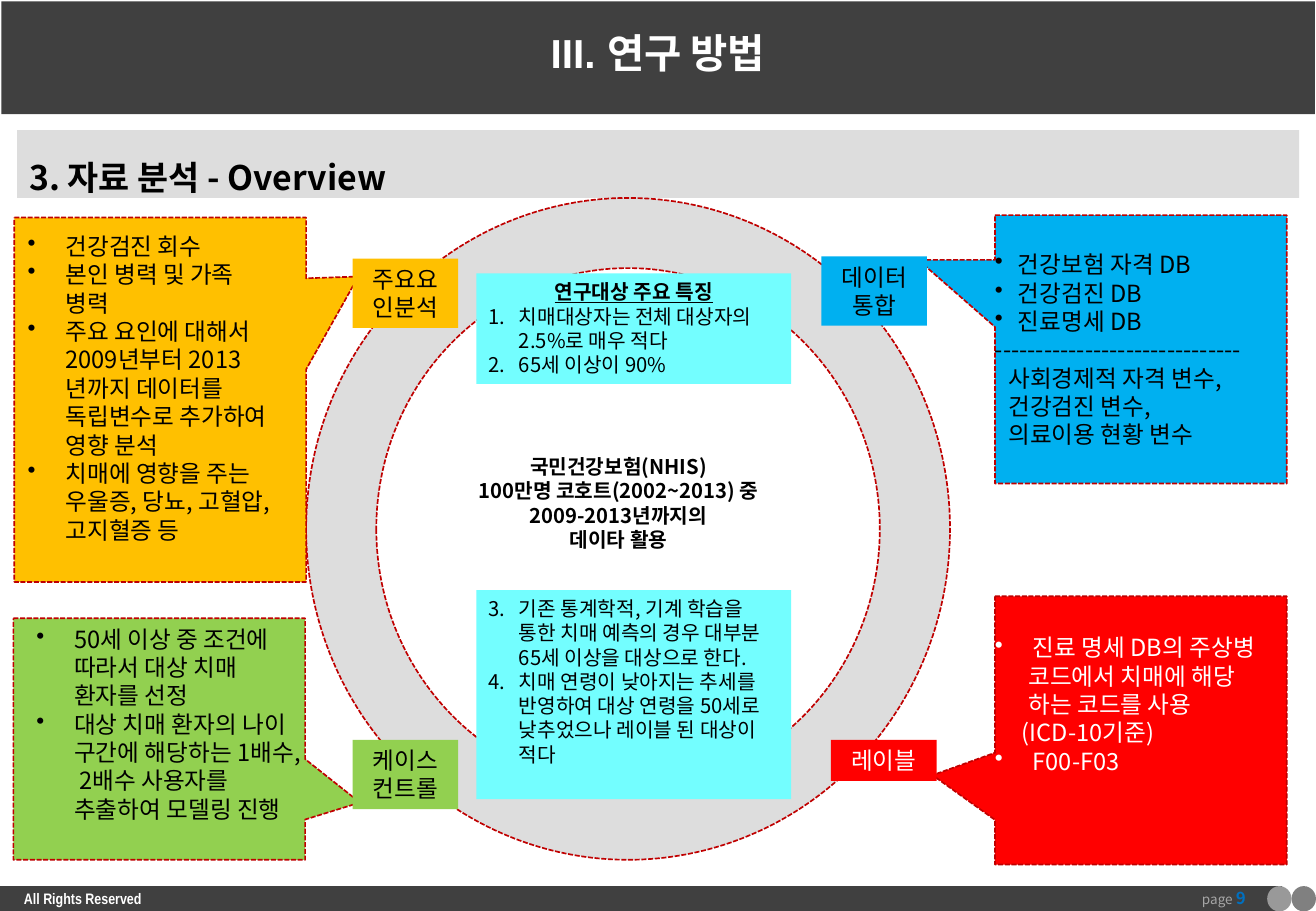
from dataclasses import dataclass

from lxml import etree
from pptx import Presentation
from pptx import util as u
from pptx.dml.color import RGBColor
from pptx.enum import dml, shapes, text
from pptx.oxml.ns import qn


@dataclass(frozen=True)
class Theme:
    font: str = "Noto Sans CJK KR"
    title_font: str = "Arial"
    footer_font: str = "Arial Narrow"
    dark: str = "404040"
    pale: str = "DDDDDD"
    black: str = "000000"
    white: str = "FFFFFF"
    outline: str = "C00000"
    sky: str = "00B0F0"
    red: str = "FF0000"
    amber: str = "FFC000"
    green: str = "92D050"
    cyan: str = "73FEFF"
    dot_light: str = "999999"
    dot_dark: str = "808080"
    page_word: str = "A6A6A6"
    page_number: str = "0070C0"
    title: int = 24
    heading: int = 20
    topic: int = 14
    note: int = 12
    number: int = 10
    footer: int = 9
    page: int = 8


@dataclass(frozen=True)
class Line:
    text: str
    mark: str = ""
    indent: float = 0
    start: int = 1
    centred: bool = False
    bold: bool = False
    underline: bool = False


THEME = Theme()
SHAPE = shapes.MSO_SHAPE
TOP, MIDDLE = text.MSO_ANCHOR.TOP, text.MSO_ANCHOR.MIDDLE
INSETS = (0.25, 0.13, 0.25, 0.13)


def place(item, box):
    item.left, item.top, item.width, item.height = map(u.Cm, box)


def add_block(page, kind, box, fill, outlined=False):
    block = page.shapes.add_shape(kind, *map(u.Cm, box))
    block.shadow.inherit = False
    block.fill.solid()
    block.fill.fore_color.rgb = RGBColor.from_string(fill)
    if outlined:
        block.line.color.rgb = RGBColor.from_string(THEME.outline)
        block.line.width = u.Pt(1)
        block.line.dash_style = dml.MSO_LINE.SQUARE_DOT
    else:
        block.line.fill.background()
    return block


def set_font(font, size, color, bold=False, name=THEME.font):
    font.size, font.bold, font.name = u.Pt(size), bold, name
    font.color.rgb = RGBColor.from_string(color)
    latin = font._element.find(qn("a:latin")) if hasattr(font, "_element") else font._rPr.find(qn("a:latin"))
    east = etree.Element(qn("a:ea"), typeface=THEME.font)
    latin.addnext(east)


def set_mark(para, line):
    props = para._p.get_or_add_pPr()
    indent = u.Cm(line.indent)
    props.set("marL", str(indent))
    props.set("indent", str(-indent if line.mark else 0))
    if line.mark == "•":
        bullet = etree.Element(qn("a:buChar"), char=line.mark)
    elif line.mark:
        bullet = etree.Element(qn("a:buAutoNum"), type="arabicPeriod", startAt=str(line.start))
    else:
        bullet = etree.Element(qn("a:buNone"))
    default = props.find(qn("a:defRPr"))
    default.addprevious(bullet)


def write(shape, lines, size, color, anchor=TOP, insets=INSETS, name=THEME.font):
    frame = shape.text_frame
    frame.word_wrap = True
    frame.auto_size = text.MSO_AUTO_SIZE.NONE
    frame.vertical_anchor = anchor
    frame.margin_left, frame.margin_top, frame.margin_right, frame.margin_bottom = map(u.Cm, insets)
    for index, line in enumerate(lines):
        para = frame.add_paragraph() if index else frame.paragraphs[0]
        para.text = line.text
        para.alignment = text.PP_ALIGN.CENTER if line.centred else text.PP_ALIGN.LEFT
        set_font(para.font, size, color, line.bold, name)
        if line.underline:
            para.font.underline = True
        set_mark(para, line)


def header(page, box):
    left, top, width, height = box
    band = add_block(page, SHAPE.RECTANGLE, (left + 0.03, top + 0.03, width - 0.05, height), THEME.dark)
    page.shapes._spTree.insert(2, band._element)
    title, heading = page.placeholders
    place(title, (left, top + 0.25, width, 1.68))
    write(title, [Line("III. 연구 방법", centred=True, bold=True)],
          THEME.title, THEME.white, MIDDLE, name=THEME.title_font)
    place(heading, (left + 0.36, top + 2.72, 26.8, 1.42))
    heading.fill.solid()
    heading.fill.fore_color.rgb = RGBColor.from_string(THEME.pale)
    write(heading, [Line("3. 자료 분석 - Overview", bold=True)], THEME.heading, THEME.black)
    heading.text_frame.paragraphs[0].line_spacing = 1.5


def footer(page, box):
    left, top, width, height = box
    add_block(page, SHAPE.RECTANGLE, (left, top, 26.8, height), THEME.dark)
    for dots, color in ((2, THEME.dot_light), (1, THEME.dot_dark)):
        add_block(page, SHAPE.OVAL, (left + width - dots * 0.51, top, 0.51, height), color)
    rights = page.shapes.add_textbox(*map(u.Cm, (left + 0.25, top - 0.07, 8.51, 0.64)))
    write(rights, [Line("All Rights Reserved", bold=True)],
          THEME.footer, THEME.white, name=THEME.footer_font)
    counter = page.shapes.add_textbox(*map(u.Cm, (left + 19.86, top - 0.02, 6.43, 0.51)))
    counter.text_frame.word_wrap = True
    counter.text_frame.vertical_anchor = MIDDLE
    para = counter.text_frame.paragraphs[0]
    para.alignment = text.PP_ALIGN.RIGHT
    for words, size, color, bold in (("page ", THEME.page, THEME.page_word, False),
                                     ("9", THEME.number, THEME.page_number, True)):
        span = para.add_run()
        span.text = words
        set_font(span.font, size, color, bold)


def ring(page, box):
    left, top, width, height = box
    donut = add_block(page, SHAPE.DONUT, box, THEME.pale, outlined=True)
    donut.adjustments[0] = 0.109
    notes = (
        ((3.15, 5.23, 6.76, 2.31), THEME.white, (
            Line("국민건강보험(NHIS)", centred=True, bold=True),
            Line("100만명 코호트(2002~2013) 중 2009-2013년까지의", centred=True, bold=True),
            Line("데이타 활용", centred=True, bold=True))),
        ((3.56, 1.58, 6.58, 2.31), THEME.cyan, (
            Line("연구대상 주요 특징", centred=True, bold=True, underline=True),
            Line("치매대상자는 전체 대상자의 2.5%로 매우 적다", "1.", 0.64),
            Line("65세 이상이 90%", "1.", 0.64))),
        ((3.56, 8.2, 6.58, 4.37), THEME.cyan, (
            Line("기존 통계학적, 기계 학습을 통한 치매 예측의 경우 대부분 65세 이상을 대상으로 한다.", "1.", 0.64, 3),
            Line("치매 연령이 낮아지는 추세를 반영하여 대상 연령을 50세로 낮추었으나 레이블 된 대상이 적다", "1.", 0.64, 3))),
    )
    for (dx, dy, wide, high), fill, lines in notes:
        note = add_block(page, SHAPE.RECTANGLE, (left + dx, top + dy, wide, high), fill)
        write(note, lines, THEME.note, THEME.black)


def topic(page, box, fill, color, pointer, label, offset, label_height, lines, anchor, insets):
    callout = add_block(page, SHAPE.RECTANGULAR_CALLOUT, box, fill, outlined=True)
    callout.adjustments[0], callout.adjustments[1] = pointer
    write(callout, lines, THEME.topic, color, anchor, insets)
    tag = add_block(page, SHAPE.RECTANGLE,
                    (box[0] + offset[0], box[1] + offset[1], 2.21, label_height), fill)
    write(tag, [Line(label, centred=True)], THEME.topic, color)


def bullets(indent, *items):
    return [Line(item, "•", indent) for item in items]


def main():
    deck = Presentation()
    deck.slide_width, deck.slide_height = u.Cm(27.51), u.Cm(19.05)
    page = deck.slides.add_slide(deck.slide_layouts[1])
    header(page, (0, 0, 27.51, 2.36))
    footer(page, (0, 18.53, 27.51, 0.53))
    ring(page, (6.4, 4.14, 13.46, 13.84))
    topic(page, (20.8, 4.5, 6.1, 5.61), THEME.sky, THEME.black, (-0.763, -0.333),
          "데이터 통합", (-3.63, 0.86), 1.45,
          bullets(0.48, "건강보험 자격 DB", "건강검진 DB", "진료명세 DB")
          + [Line("-" * 30)]
          + [Line(item, indent=0.28) for item in
             ("사회경제적 자격 변수,", "건강검진 변수,", "의료이용 현황 변수")],
          MIDDLE, (0, 0.13, 0, 0.13))
    topic(page, (20.8, 12.47, 6.1, 5.61), THEME.red, THEME.white, (-0.714, 0.167),
          "레이블", (-3.43, 3), 0.86,
          bullets(0.79, "진료 명세 DB의 주상병")
          + [Line("코드에서 치매에 해당", indent=0.7), Line("하는 코드를 사용", indent=0.7),
             Line("(ICD-10기준)", indent=0.56)]
          + bullets(0.79, "F00-F03"),
          MIDDLE, (0, 0.13, 0, 1.23))
    topic(page, (0.3, 4.55, 6.1, 7.62), THEME.amber, THEME.black, (0.679, -0.338),
          "주요요인분석", (7.07, 0.86), 1.45,
          bullets(0.79, "건강검진 회수", "본인 병력 및 가족 병력",
                  "주요 요인에 대해서 2009년부터 2013년까지 데이터를 독립변수로 추가하여 영향 분석",
                  "치매에 영향을 주는 우울증, 당뇨, 고혈압, 고지혈증 등"),
          TOP, (0.28, 0.3, 0.53, 0))
    topic(page, (0.28, 12.93, 6.1, 5.05), THEME.green, THEME.black, (0.688, 0.263),
          "케이스 컨트롤", (7.09, 2.54), 1.45,
          bullets(0.79, "50세 이상 중 조건에 따라서 대상 치매 환자를 선정",
                  "대상 치매 환자의 나이 구간에 해당하는 1배수, 2배수 사용자를 추출하여 모델링 진행"),
          TOP, (0.48, 0.13, 0.23, 0))
    deck.save("out.pptx")


if __name__ == "__main__":
    main()
